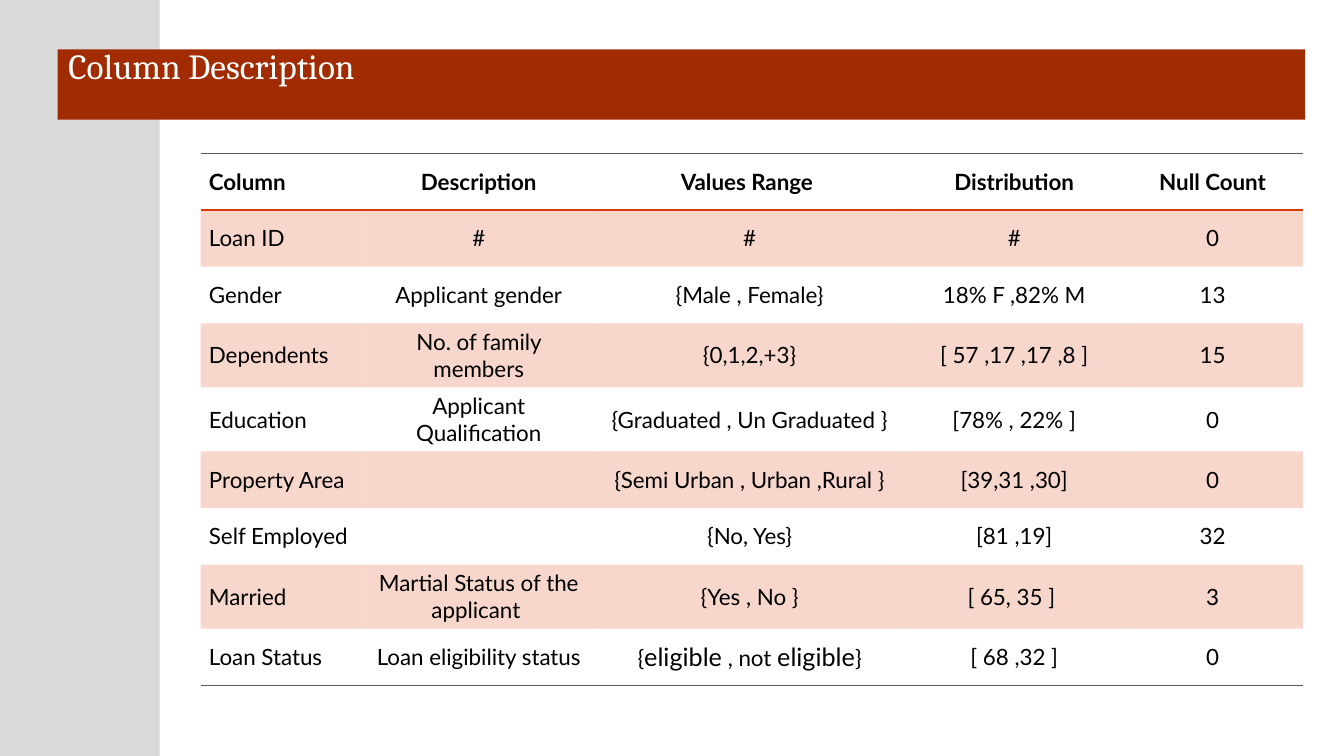
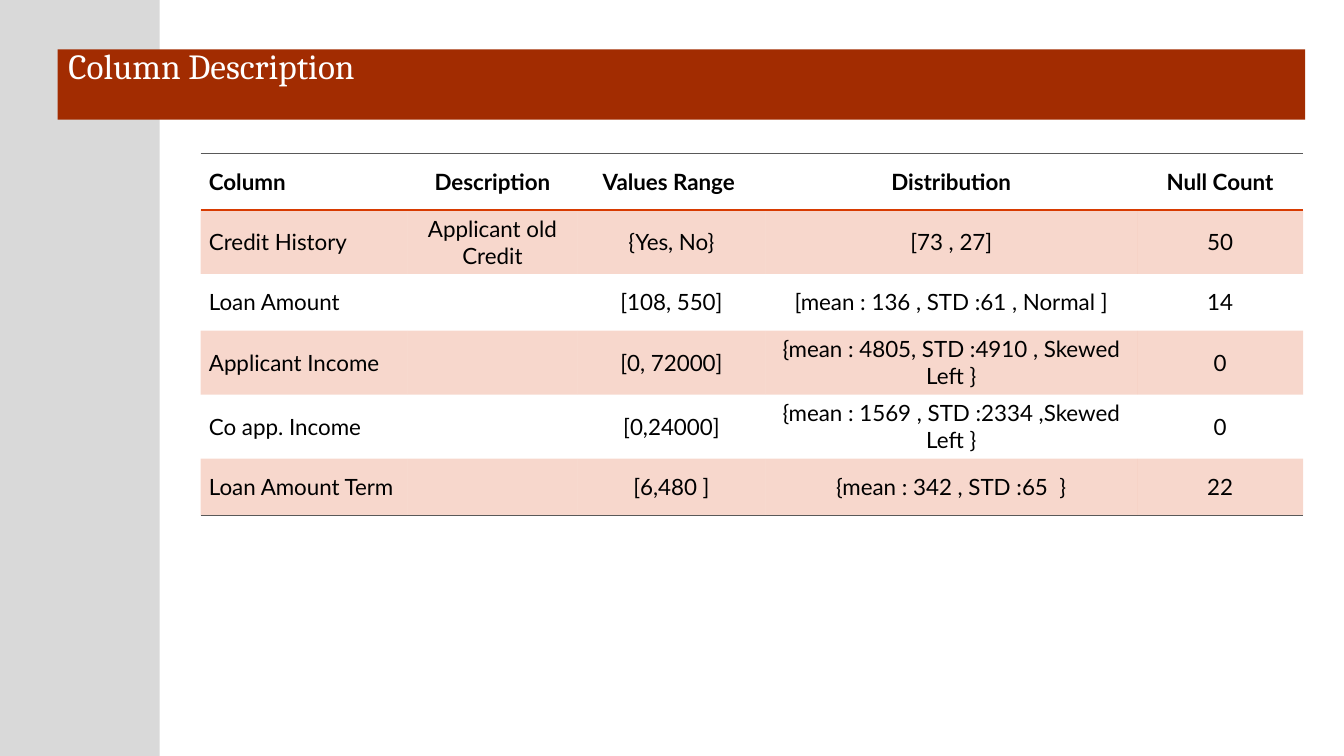
import pptx
import pptx.dml.color
import pptx.enum.shapes
import pptx.enum.text
import pptx.oxml
import pptx.oxml.ns
import pptx.util
from lxml import etree

PX = 9525  # EMU in one px, 96 px to the inch
WHITE, GREY, RUST = "FFFFFF", "D9D9D9", "A22C01"
BLACK, RULE, ACCENT = "000000", "595959", "D83B01"
TINT = 20  # opacity of the banded rows, per cent
PLAIN = "{2D5ABB26-0587-4C30-8999-92F81FD0307C}"  # no style, no grid

ALIGN = pptx.enum.text.PP_ALIGN
ANCHOR = pptx.enum.text.MSO_ANCHOR
HEAD = ["Column", "Description", "Values Range ", "Distribution", "Null Count"]


def px(num):
    return pptx.util.Emu(num * PX)


def paint(color, code):
    color.rgb = pptx.dml.color.RGBColor.from_string(code)


def put(item, form):
    for name, value in form.items():
        setattr(item, name, value)


class Deck:
    title_font = {"name": "Cambria", "size": pptx.util.Pt(25.2), "bold": False}
    title_box = {"left": px(55), "top": px(47), "width": px(1188), "height": px(67)}
    title_text = {
        "margin_left": px(10), "margin_right": px(10),
        "margin_top": 0, "margin_bottom": 0, "word_wrap": True,
        "auto_size": pptx.enum.text.MSO_AUTO_SIZE.NONE,
        "vertical_anchor": ANCHOR.TOP,
    }
    title_para = {"alignment": ALIGN.LEFT, "line_spacing": 0.9}
    cell_form = {
        "margin_left": px(8), "margin_right": px(8),
        "margin_top": px(5), "margin_bottom": px(5),
        "vertical_anchor": ANCHOR.MIDDLE,
    }

    def __init__(self):
        self.show = pptx.Presentation()
        put(self.show, {"slide_width": px(1280), "slide_height": px(720)})
        self.lay = self.show.slide_layouts[5]
        self.slide = None

    # Slide and title band
    def page(self, text):
        first = self.slide is None
        self.slide = self.show.slides.add_slide(self.lay)
        if first:
            self.side()
        title = self.slide.shapes.title
        put(title, self.title_box)
        title.fill.solid()
        paint(title.fill.fore_color, RUST)
        put(title.text_frame, self.title_text)
        para = title.text_frame.paragraphs[0]
        put(para, self.title_para)
        self.run(para, text, self.title_font, WHITE)

    # Side band, kept on the layout that all slides share
    def side(self):
        kind = pptx.enum.shapes.MSO_SHAPE.RECTANGLE
        band = self.slide.shapes.add_shape(kind, 0, 0, px(152), px(720))
        band.shadow.inherit = False
        band.fill.solid()
        paint(band.fill.fore_color, GREY)
        band.line.fill.background()
        band.element.nvSpPr.cNvPr.set("id", "20")
        self.lay.shapes.element.insert(2, band.element)

    def run(self, para, text, form, code):
        run = para.add_run()
        run.text = text
        put(run.font, form)
        paint(run.font.color, code)

    # Table with a header, banded rows and rules
    def table(self, left, top, high, wide, body):
        rows = [HEAD] + body
        frame = self.slide.shapes.add_table(
            len(rows), len(wide), px(left), px(top),
            px(sum(wide)), px(high * len(rows)))
        grid = frame.table
        grid.horz_banding = True
        style = grid._tbl.tblPr.find(pptx.oxml.ns.qn("a:tableStyleId"))
        style.text = PLAIN
        for col, width in zip(grid.columns, wide):
            col.width = px(width)
        for r, row in enumerate(rows):
            grid.rows[r].height = px(high)
            for c, text in enumerate(row):
                cell = grid.cell(r, c)
                self.cell(cell, text, c > 0, r == 0)
                self.fill(cell, r % 2 == 1)
                if r == len(rows) - 1:
                    self.rule(cell, "lnB", RULE)
                if r == 0:
                    self.rule(cell, "lnB", ACCENT)
                    self.rule(cell, "lnT", RULE)

    def cell(self, cell, text, mid, bold):
        put(cell, self.cell_form)
        para = cell.text_frame.paragraphs[0]
        para.alignment = ALIGN.CENTER if mid else ALIGN.LEFT
        parts = [(text, 16)] if isinstance(text, str) else text
        for part, size in parts:
            if part:
                form = {"name": "Lato", "size": pptx.util.Pt(size), "bold": bold}
                self.run(para, part, form, BLACK)

    def fill(self, cell, tint):
        if not tint:
            cell.fill.background()
            return
        cell.fill.solid()
        paint(cell.fill.fore_color, ACCENT)
        color = cell._tc.tcPr.find(".//" + pptx.oxml.ns.qn("a:srgbClr"))
        alpha = etree.SubElement(color, pptx.oxml.ns.qn("a:alpha"))
        alpha.set("val", str(TINT * 1000))

    def rule(self, cell, side, code):
        space = pptx.oxml.ns.nsdecls("a")
        line = pptx.oxml.parse_xml(
            f'<a:{side} {space} w="12700"><a:solidFill><a:srgbClr val="{code}"/>'
            f'</a:solidFill></a:{side}>')
        cell._tc.tcPr.insert(0, line)


LOAN = [
    ["Loan ID", "#", "#", "#", "0"],
    ["Gender", "Applicant gender", "{Male , Female}", "18% F ,82% M", "13"],
    ["Dependents", "No. of family members", "{0,1,2,+3}", "[ 57 ,17 ,17 ,8 ]", "15"],
    ["Education", "Applicant Qualification", "{Graduated , Un Graduated }",
     "[78% , 22% ]", "0"],
    ["Property Area", "", "{Semi Urban , Urban ,Rural }", "[39,31 ,30]", "0"],
    ["Self Employed", "", "{No, Yes}", "[81 ,19]", "32"],
    ["Married", "Martial Status of the applicant ", "{Yes , No }", "[ 65, 35 ] ", "3"],
    ["Loan Status", "Loan eligibility status",
     [("{", 16), ("eligible", 18), (" , not ", 16), ("eligible", 18), ("}", 16)],
     "[ 68 ,32 ]", "0"],
]
MONEY = [
    ["Credit History", "Applicant old Credit", "{Yes, No}", "[73 , 27]", "50"],
    ["Loan Amount", "", "[108, 550]", "[mean : 136 , STD :61 , Normal ]", "14"],
    ["Applicant Income", "", "[0, 72000]",
     "{mean : 4805, STD :4910 , Skewed Left }", "0"],
    ["Co app. Income", "", "[0,24000]",
     "{mean : 1569 , STD :2334 ,Skewed Left }", "0"],
    ["Loan Amount Term", "", "[6,480 ]", "{mean : 342 , STD :65  }", "22"],
]
PAGES = [
    ([156, 218, 298, 206, 172], LOAN),
    ([197, 162, 179, 354, 158], MONEY),
]


def main():
    deck = Deck()
    for wide, body in PAGES:
        deck.page("Column Description")
        deck.table(191, 146, 54, wide, body)
    deck.show.save("out.pptx")


if __name__ == "__main__":
    main()
